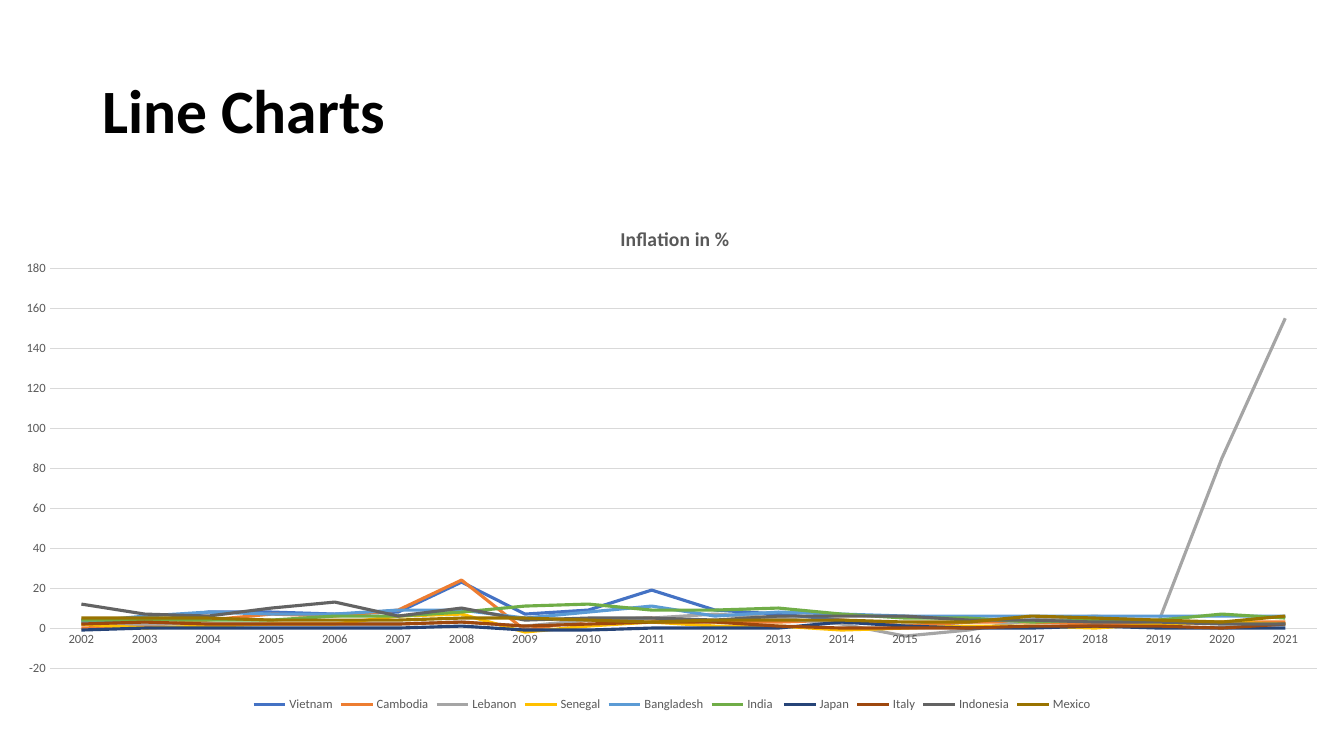
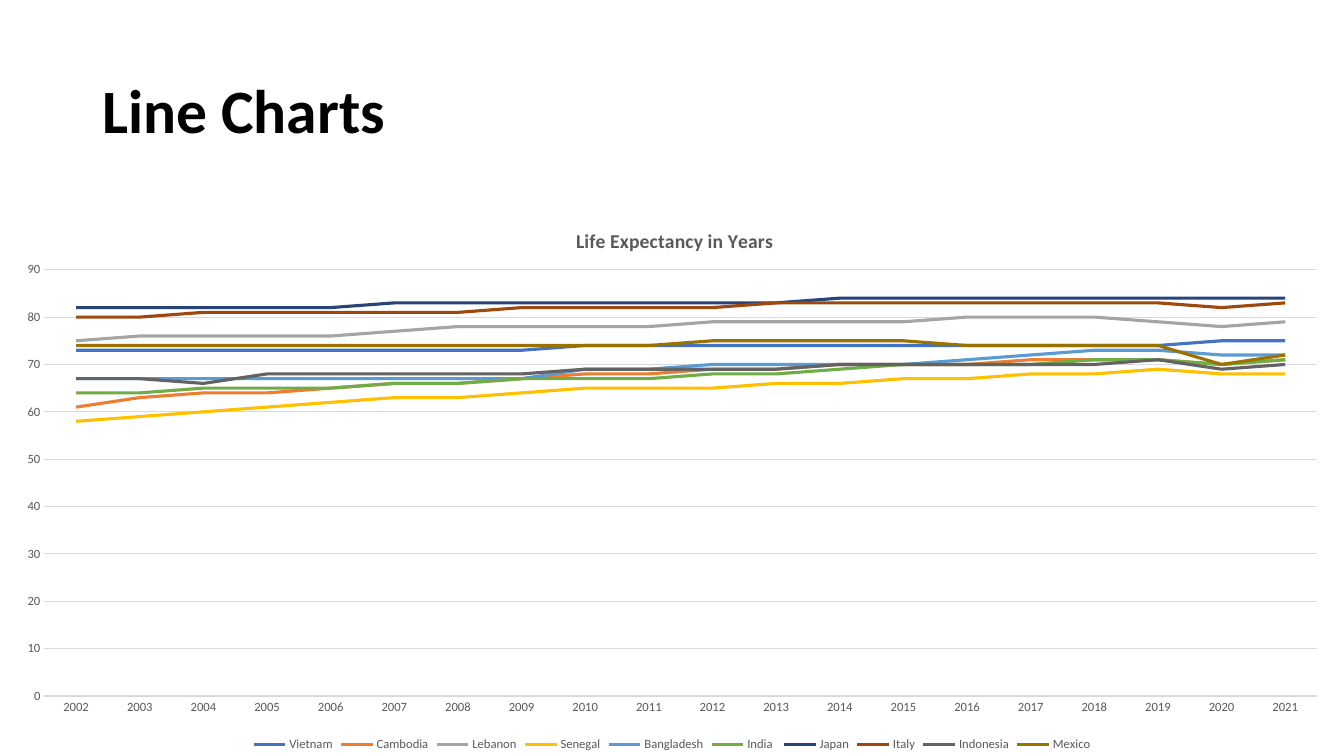
from lxml import etree
from pptx import Presentation
from pptx.chart.data import CategoryChartData
from pptx.dml.color import RGBColor
from pptx.enum.chart import XL_CHART_TYPE, XL_LEGEND_POSITION, XL_TICK_MARK
from pptx.enum.text import MSO_ANCHOR
from pptx.oxml.ns import qn
from pptx.util import Cm, Pt

LINE_CHART = XL_CHART_TYPE.LINE
LEGEND_BOTTOM = XL_LEGEND_POSITION.BOTTOM
NO_TICKS = XL_TICK_MARK.NONE
MIDDLE = MSO_ANCHOR.MIDDLE

# Shared style
FONT = "Calibri"
BLACK = RGBColor(0x00, 0x00, 0x00)
LABEL_GREY = RGBColor(0x59, 0x59, 0x59)
GRID_GREY = RGBColor(0xD9, 0xD9, 0xD9)
COUNTRY_COLORS = {
    "Vietnam": RGBColor(0x44, 0x72, 0xC4),
    "Cambodia": RGBColor(0xED, 0x7D, 0x31),
    "Lebanon": RGBColor(0xA5, 0xA5, 0xA5),
    "Senegal": RGBColor(0xFF, 0xC0, 0x00),
    "Bangladesh": RGBColor(0x5B, 0x9B, 0xD5),
    "India ": RGBColor(0x70, 0xAD, 0x47),
    "Japan": RGBColor(0x26, 0x44, 0x78),
    "Italy": RGBColor(0x9E, 0x48, 0x0E),
    "Indonesia": RGBColor(0x63, 0x63, 0x63),
    "Mexico": RGBColor(0x99, 0x73, 0x00),
}
SLIDE_WIDTH, SLIDE_HEIGHT = Cm(33.87), Cm(19.05)
CHART_TOP = Cm(5.08)
YEARS = [str(year) for year in range(2002, 2022)]

# Chart values, one row per country in the order of COUNTRY_COLORS
INFLATION = [
    [4, 3, 8, 8, 7, 8, 23, 7, 9, 19, 9, 7, 4, 1, 3, 4, 4, 3, 3, 2],
    [0, 1, 4, 7, 6, 9, 24, -1, 4, 5, 3, 3, 4, 1, 3, 3, 2, 2, 3, 3],
    [2, 2, 2, 2, 2, 2, 3, 1, 4, 5, 7, 5, 2, -4, -1, 4, 6, 3, 85, 155],
    [2, 0, 1, 2, 2, 6, 7, -2, 1, 3, 1, 1, -1, 0, 1, 1, 0, 2, 3, 2],
    [3, 6, 8, 7, 7, 9, 9, 5, 8, 11, 6, 8, 7, 6, 6, 6, 6, 6, 6, 6],
    [4, 4, 4, 4, 6, 6, 8, 11, 12, 9, 9, 10, 7, 5, 5, 3, 4, 4, 7, 5],
    [-1, 0, 0, 0, 0, 0, 1, -1, -1, 0, 0, 0, 3, 1, 0, 0, 1, 0, 0, 0],
    [2, 3, 2, 2, 2, 2, 3, 1, 2, 3, 3, 1, 0, 0, 0, 1, 1, 1, 0, 2],
    [12, 7, 6, 10, 13, 6, 10, 4, 5, 5, 4, 6, 6, 6, 4, 4, 3, 3, 2, 2],
    [5, 5, 5, 4, 4, 4, 5, 5, 4, 3, 4, 4, 4, 3, 3, 6, 5, 4, 3, 6],
]
LIFE_EXPECTANCY = [
    [73, 73, 73, 73, 73, 73, 73, 73, 74, 74, 74, 74, 74, 74, 74, 74, 74, 74, 75, 75],
    [61, 63, 64, 64, 65, 66, 66, 67, 68, 68, 69, 69, 70, 70, 70, 71, 71, 71, 70, 71],
    [75, 76, 76, 76, 76, 77, 78, 78, 78, 78, 79, 79, 79, 79, 80, 80, 80, 79, 78, 79],
    [58, 59, 60, 61, 62, 63, 63, 64, 65, 65, 65, 66, 66, 67, 67, 68, 68, 69, 68, 68],
    [67, 67, 67, 67, 67, 67, 67, 67, 69, 69, 70, 70, 70, 70, 71, 72, 73, 73, 72, 72],
    [64, 64, 65, 65, 65, 66, 66, 67, 67, 67, 68, 68, 69, 70, 70, 70, 71, 71, 70, 71],
    [82, 82, 82, 82, 82, 83, 83, 83, 83, 83, 83, 83, 84, 84, 84, 84, 84, 84, 84, 84],
    [80, 80, 81, 81, 81, 81, 81, 82, 82, 82, 82, 83, 83, 83, 83, 83, 83, 83, 82, 83],
    [67, 67, 66, 68, 68, 68, 68, 68, 69, 69, 69, 69, 70, 70, 70, 70, 70, 71, 69, 70],
    [74, 74, 74, 74, 74, 74, 74, 74, 74, 74, 75, 75, 75, 75, 74, 74, 74, 74, 70, 72],
]


def style_font(font, size, color, bold=False):
    font.name = FONT
    font.size = Pt(size)
    font.bold = bold
    font.color.rgb = color


def add_title(page, text):
    box = page.shapes.add_textbox(Cm(2.33), Cm(1.01), Cm(29.21), Cm(3.68))
    frame = box.text_frame
    frame.word_wrap = True
    frame.vertical_anchor = MIDDLE
    para = frame.paragraphs[0]
    para.line_spacing = 0.9
    span = para.add_run()
    span.text = text
    style_font(span.font, 44, BLACK, bold=True)


def set_layout(parent, index, **fractions):
    """Place a chart part by fractions of the chart's size."""
    for old in parent.findall(qn("c:layout")):
        parent.remove(old)
    layout = etree.Element(qn("c:layout"))
    parent.insert(index, layout)
    manual = etree.SubElement(layout, qn("c:manualLayout"))
    settings = {"xMode": "edge", "yMode": "edge", **fractions}
    if "w" in fractions:
        settings = {"layoutTarget": "inner", **settings}
    for name, value in settings.items():
        etree.SubElement(manual, qn("c:" + name)).set("val", str(value))


def style_axis(axis):
    axis.major_tick_mark = NO_TICKS
    axis.minor_tick_mark = NO_TICKS
    style_font(axis.tick_labels.font, 9, LABEL_GREY)


def style_rule(line):
    line.color.rgb = GRID_GREY
    line.width = Pt(0.75)


def add_line_chart(page, heading, rows, height, scale, heading_place, plot_place):
    data = CategoryChartData(number_format="0")
    data.categories = YEARS
    for country, values in zip(COUNTRY_COLORS, rows):
        data.add_series(country, values)
    chart = page.shapes.add_chart(
        LINE_CHART, 0, CHART_TOP, SLIDE_WIDTH, height, data).chart
    style_font(chart.font, 10, BLACK)

    # Heading
    chart.has_title = True
    span = chart.chart_title.text_frame.paragraphs[0].add_run()
    span.text = heading
    style_font(span.font, 14, LABEL_GREY, bold=True)
    set_layout(chart.chart_title._element, 1, **heading_place)

    # Axes and grid
    style_axis(chart.category_axis)
    style_rule(chart.category_axis.format.line)
    value_axis = chart.value_axis
    style_axis(value_axis)
    value_axis.format.line.fill.background()
    value_axis.has_major_gridlines = True
    style_rule(value_axis.major_gridlines.format.line)
    value_axis.minimum_scale, value_axis.maximum_scale, value_axis.major_unit = scale
    set_layout(chart._chartSpace.chart.plotArea, 0, **plot_place)

    # Legend
    chart.has_legend = True
    chart.legend.position = LEGEND_BOTTOM
    chart.legend.include_in_layout = False
    style_font(chart.legend.font, 9, LABEL_GREY)

    # Lines
    chart.plots[0].vary_by_categories = False
    for series, color in zip(chart.plots[0].series, COUNTRY_COLORS.values()):
        series.smooth = False
        series.format.line.color.rgb = color
        series.format.line.width = Pt(2.25)


def add_chart_page(deck, *chart_settings):
    page = deck.slides.add_slide(deck.slide_layouts[6])
    add_title(page, "Line Charts")
    add_line_chart(page, *chart_settings)


def main():
    deck = Presentation()
    deck.slide_width, deck.slide_height = SLIDE_WIDTH, SLIDE_HEIGHT
    add_chart_page(deck, "Inflation in %", INFLATION, Cm(12.95), (-20, 180, 20),
                   {"x": 0.459, "y": 0.04},
                   {"x": 0.037, "y": 0.13, "w": 0.943, "h": 0.778})
    add_chart_page(deck, "Life Expectancy in Years", LIFE_EXPECTANCY, Cm(13.97),
                   (0, 90, 10), {"x": 0.426, "y": 0.04},
                   {"x": 0.033, "y": 0.123, "w": 0.947, "h": 0.769})
    deck.save("out.pptx")


if __name__ == "__main__":
    main()
